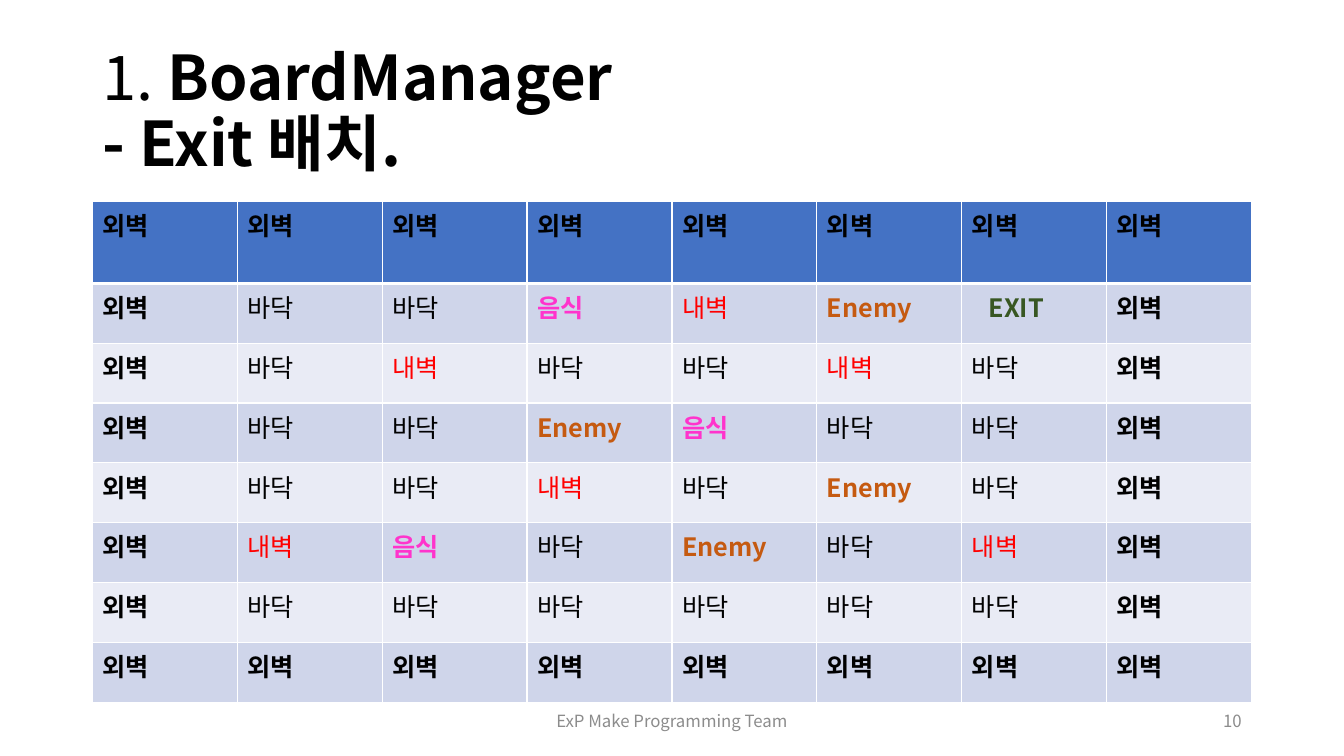
import pptx
import pptx.dml.color
import pptx.enum.text
import pptx.oxml
import pptx.oxml.ns
import pptx.util

FONT = "Noto Sans CJK KR"
BLACK, WHITE, GREY = "000000", "FFFFFF", "8C8C8C"
HEADER, BANDS = "4472C4", ("CFD5EA", "E9EBF5")
COLUMNS, ROWS = 160, 90
ALIGN = pptx.enum.text.PP_ALIGN
MIDDLE = pptx.enum.text.MSO_ANCHOR.MIDDLE
TILES = {
    "W": ("외벽", BLACK, True),
    "S": ("바닥", BLACK, False),
    "I": ("내벽", "FF0000", False),
    "F": ("음식", "FF33CC", True),
    "E": ("Enemy", "C55A11", True),
    "X": ("EXIT", "385723", True),
}
BOARD = ("WWWWWWWW", "WSSFIEXW", "WSISSISW", "WSSEFSSW",
         "WSSISESW", "WIFSESIW", "WSSSSSSW", "WWWWWWWW")


def color(value):
    return pptx.dml.color.RGBColor.from_string(value)


class BoardSlide:
    """Hold the style and the current slide, placing elements on a 160 by 90 grid."""

    def __init__(self, deck):
        self.column = deck.slide_width / COLUMNS
        self.row = deck.slide_height / ROWS
        self.page = deck.slides.add_slide(deck.slide_layouts[5])

    def area(self, left, top, width, height):
        return (round(left * self.column), round(top * self.row),
                round(width * self.column), round(height * self.row))

    def style(self, span, size, shade=BLACK, bold=False):
        span.font.name = FONT
        span.font.size = pptx.util.Pt(size)
        span.font.bold = bold
        span.font.color.rgb = color(shade)
        east_asian = pptx.oxml.parse_xml(
            f'<a:ea {pptx.oxml.ns.nsdecls("a")} typeface="{FONT}"/>')
        span.font._element.find(pptx.oxml.ns.qn("a:latin")).addnext(east_asian)

    def title(self, number, lines, area):
        box = self.page.shapes.title
        box.left, box.top, box.width, box.height = self.area(*area)
        frame = box.text_frame
        frame.auto_size = pptx.enum.text.MSO_AUTO_SIZE.NONE
        frame.vertical_anchor = MIDDLE
        frame.text = number
        para = frame.paragraphs[0]
        para.alignment = ALIGN.LEFT
        para.line_spacing = 0.9
        self.style(para.runs[0], 44)
        for index, line in enumerate(lines):
            if index:
                para.add_line_break()
            span = para.add_run()
            span.text = line
            self.style(span, 44, bold=True)

    def label(self, text, area, alignment):
        box = self.page.shapes.add_textbox(*self.area(*area))
        frame = box.text_frame
        frame.word_wrap = True
        frame.vertical_anchor = MIDDLE
        frame.text = text
        para = frame.paragraphs[0]
        para.alignment = alignment
        self.style(para.runs[0], 12, GREY)

    def borders(self, cell, **widths):
        properties = cell._tc.get_or_add_tcPr()
        for side in "LRTB":
            width = pptx.util.Pt(widths.get(side, 1))
            properties.append(pptx.oxml.parse_xml(
                f'<a:ln{side} {pptx.oxml.ns.nsdecls("a")} w="{width}"><a:solidFill>'
                f'<a:srgbClr val="{WHITE}"/></a:solidFill></a:ln{side}>'))

    def tile(self, cell, code, fill):
        text, shade, bold = TILES[code]
        cell.text = text
        self.style(cell.text_frame.paragraphs[0].runs[0], 18, shade, bold)
        if code == "X":
            cell.margin_left = round(self.column * 3.2)
        cell.fill.solid()
        cell.fill.fore_color.rgb = color(fill)

    def board(self, tiles, area, header_height, row_height):
        frame = self.page.shapes.add_table(len(tiles), len(tiles[0]), *self.area(*area))
        table = frame.table
        for index, codes in enumerate(tiles):
            height = row_height if index else header_height
            table.rows[index].height = round(height * self.row)
            fill = BANDS[(index - 1) % 2] if index else HEADER
            widths = {0: {"B": 3}, 1: {"T": 3}}.get(index, {})
            for cell, code in zip(table.rows[index].cells, codes):
                self.borders(cell, **widths)
                self.tile(cell, code, fill)


deck = pptx.Presentation()
deck.slide_width = pptx.util.Inches(13.33)
deck.slide_height = pptx.util.Inches(7.5)
slide = BoardSlide(deck)
slide.title("1. ", ("BoardManager", "- Exit 배치."), (11, 4.8, 138, 17.4))
slide.label("ExP Make Programming Team", (53, 83.4, 54, 4.8), ALIGN.CENTER)
slide.label("10", (113, 83.4, 36, 4.8), ALIGN.RIGHT)
slide.board(BOARD, (11, 24, 138, 59.6), 9.75, 7.12)
deck.save("out.pptx")
